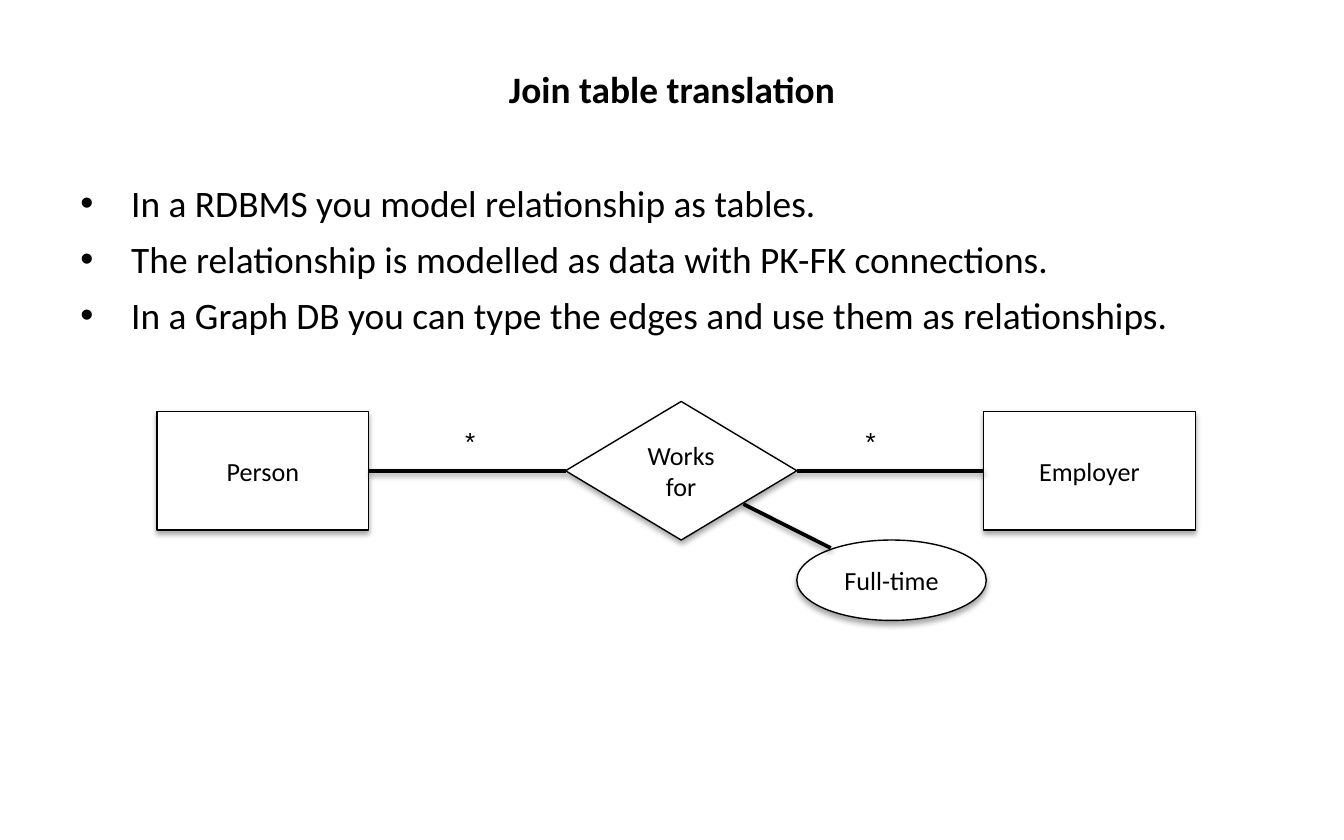
from dataclasses import dataclass

from lxml.etree import SubElement
from pptx import Presentation
from pptx.dml.color import RGBColor
from pptx.enum.shapes import MSO_CONNECTOR, MSO_SHAPE
from pptx.enum.text import MSO_ANCHOR, MSO_AUTO_SIZE, PP_ALIGN
from pptx.oxml.ns import qn
from pptx.util import Cm, Pt

INK, PAPER = "000000", "FFFFFF"
MID = 8.9  # common centre line of the diagram, cm


@dataclass
class Node:
    text: str
    kind: MSO_SHAPE
    left: float
    mid: float
    width: float
    height: float


NODES = [
    Node("Works for", MSO_SHAPE.DIAMOND, 10.69, MID, 4.37, 2.62),
    Node("Person", MSO_SHAPE.RECTANGLE, 2.97, MID, 4, 2.24),
    Node("Employer", MSO_SHAPE.RECTANGLE, 18.59, MID, 4, 2.24),
    Node("Full-time", MSO_SHAPE.OVAL, 15.06, 10.97, 3.58, 1.52),
]
POINTS = [
    "In a RDBMS you model relationship as tables.",
    "The relationship is modelled as data with PK-FK connections.",
    "In a Graph DB you can type the edges and use them as relationships.",
]


def paint(form, code: str) -> None:
    """Set a solid colour on a fill."""
    form.solid()
    form.fore_color.rgb = RGBColor.from_string(code)


def write(para, text: str, size: float, font: str = "Calibri", bold: bool = False) -> None:
    run = para.add_run()
    run.text = text
    run.font.name, run.font.size, run.font.bold = font, Pt(size), bold
    paint(run.font.fill, INK)


def frame(shape, pad: float, anchor=MSO_ANCHOR.TOP):
    box = shape.text_frame
    box.word_wrap = True
    box.auto_size = MSO_AUTO_SIZE.NONE
    box.vertical_anchor = anchor
    box.margin_left = box.margin_right = box.margin_top = box.margin_bottom = Cm(pad)
    return box


def place(shape, left: float, top: float, width: float, height: float) -> None:
    shape.left, shape.top, shape.width, shape.height = map(Cm, (left, top, width, height))


def shade(shape, dist: float, alpha: int) -> None:
    """Give a soft shadow that falls straight down."""
    props = shape._element.spPr
    effects = props.find(qn("a:effectLst"))
    if effects is None:
        effects = SubElement(props, qn("a:effectLst"))
    outer = SubElement(effects, qn("a:outerShdw"), blurRad=str(Pt(3)),
                       dist=str(Pt(dist)), dir="5400000", rotWithShape="0")
    tone = SubElement(outer, qn("a:srgbClr"), val=INK)
    SubElement(tone, qn("a:alpha"), val=str(alpha * 1000))


def draw(slide, node: Node):
    shape = slide.shapes.add_shape(
        node.kind, Cm(node.left), Cm(node.mid - node.height / 2),
        Cm(node.width), Cm(node.height))
    paint(shape.fill, PAPER)
    paint(shape.line.fill, INK)
    shape.line.width = Pt(0.75)
    shape.shadow.inherit = False
    shade(shape, 1.8, 35)
    para = frame(shape, 0.13, MSO_ANCHOR.MIDDLE).paragraphs[0]
    para.alignment = PP_ALIGN.CENTER
    write(para, node.text, 14)
    return shape


def link(slide, *ends: float):
    line = slide.shapes.add_connector(MSO_CONNECTOR.STRAIGHT, *map(Cm, ends))
    paint(line.line.fill, INK)
    line.line.width = Pt(2)
    shade(line, 1.6, 38)
    return line


def join(slide, start, end) -> None:
    """Link the right side of one shape to the left side of the next."""
    line = link(slide, 0, MID, 1, MID)
    line.begin_connect(start, 3)
    line.end_connect(end, 1)


def main() -> None:
    deck = Presentation()
    deck.slide_width, deck.slide_height = Cm(25.4), Cm(15.88)
    slide = deck.slides.add_slide(deck.slide_layouts[1])

    # Title
    title = slide.shapes.title
    place(title, 1.27, 1, 22.86, 1.5)
    para = frame(title, 0.25).paragraphs[0]
    para.alignment = PP_ALIGN.CENTER
    write(para, "Join table translation", 20, bold=True)

    # Bullet list
    body = slide.placeholders[1]
    place(body, 1.27, 3.15, 22.86, 3.8)
    box = frame(body, 0.25)
    for i, text in enumerate(POINTS):
        para = box.add_paragraph() if i else box.paragraphs[0]
        para.space_before = Pt(6)
        props = para._p.get_or_add_pPr()
        props.set("marL", str(Cm(0.96)))
        props.set("indent", str(-Cm(0.96)))
        write(para, text, 20)

    # Entities and their links
    works, person, firm, _ = [draw(slide, node) for node in NODES]
    join(slide, person, works)
    join(slide, works, firm)
    link(slide, 14.05, 9.53, 15.7, 10.36)

    # Many-to-many marks
    for left in (8.66, 16.23):
        mark = slide.shapes.add_textbox(Cm(left), Cm(7.92), Cm(0.86), Cm(0.81))
        write(frame(mark, 0.13).paragraphs[0], "*", 14, "Arial")

    deck.save("out.pptx")


if __name__ == "__main__":
    main()
